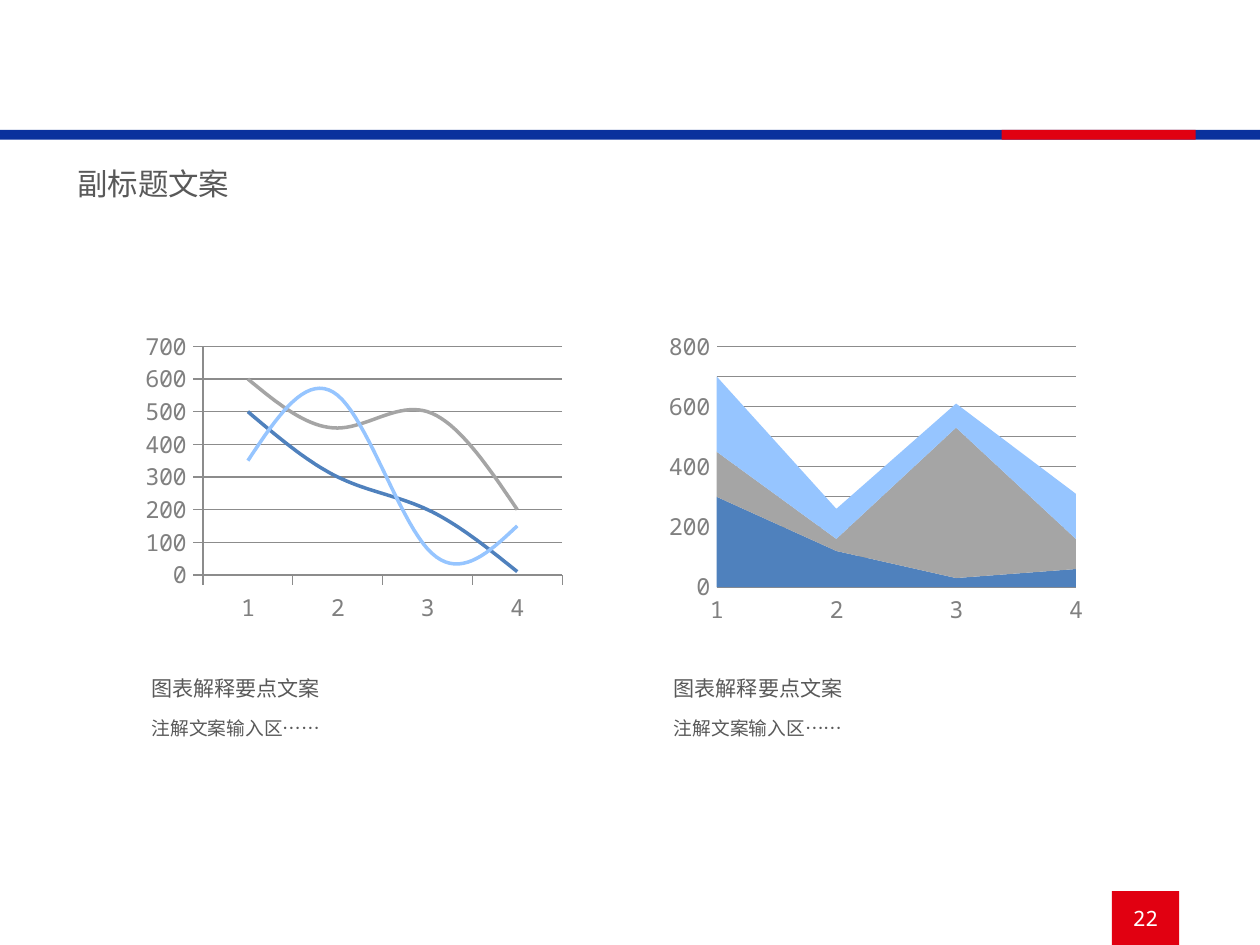
from pptx import Presentation
from pptx.chart.data import CategoryChartData
from pptx.dml.color import RGBColor
from pptx.enum.chart import XL_CHART_TYPE, XL_TICK_MARK
from pptx.enum.shapes import MSO_SHAPE
from pptx.enum.text import MSO_ANCHOR, PP_ALIGN
from pptx.oxml import parse_xml
from pptx.oxml.ns import nsdecls, qn
from pptx.util import Inches, Pt

WIDE, HIGH = Inches(7.48), Inches(5.61)
HAN, MONO = "Noto Sans CJK SC", "Noto Sans Mono"
INK, GREY, RULE, WHITE = "595959", "808080", "8C8C8C", "FFFFFF"
BLUE, RED = "0A319D", "E10011"
TONES = ["4F81BD", "A5A5A5", "96C5FF"]
COLS = [10.96, 52.41]
COL_W = 34.36


def color(code):
    return RGBColor.from_string(code)


def span(left, top, width, height):
    """Turn percent of the slide's size into lengths."""
    return (round(WIDE * left / 100), round(HIGH * top / 100),
            round(WIDE * width / 100), round(HIGH * height / 100))


def style(font, size, code, face):
    font.size, font.name = Pt(size), face
    font.color.rgb = color(code)


def add_run(para, text, size, code=INK, face=HAN):
    run = para.add_run()
    run.text = text
    style(run.font, size, code, face)
    run.font._element.find(qn("a:latin")).addnext(
        parse_xml(f'<a:ea {nsdecls("a")} typeface="{face}"/>'))


def set_frame(frame):
    frame.word_wrap = True
    frame.vertical_anchor = MSO_ANCHOR.TOP
    frame.margin_left = frame.margin_right = Inches(0.08)
    frame.margin_top = frame.margin_bottom = Inches(0.02)


def add_block(slide, code, *area):
    block = slide.shapes.add_shape(MSO_SHAPE.RECTANGLE, *span(*area))
    block.shadow.inherit = False
    block.fill.solid()
    block.fill.fore_color.rgb = color(code)
    block.line.fill.background()
    return block


def add_page(slide, number):
    frame = add_block(slide, RED, 88.24, 94.3, 5.35, 5.7).text_frame
    frame.margin_left = frame.margin_right = 0
    frame.margin_top = frame.margin_bottom = 0
    frame.vertical_anchor = MSO_ANCHOR.MIDDLE
    para = frame.paragraphs[0]
    para.alignment = PP_ALIGN.CENTER
    add_run(para, number, 9, WHITE, MONO)


def set_title(slide, text):
    title = slide.shapes.title
    title.left, title.top, title.width, title.height = span(
        5.08, 17.11, 21.12, 5.88)
    set_frame(title.text_frame)
    para = title.text_frame.paragraphs[0]
    para.alignment = PP_ALIGN.LEFT
    add_run(para, text, 13)


def add_note(slide, left, head, note):
    frame = slide.shapes.add_textbox(*span(left, 71.12, COL_W, 9.09)).text_frame
    set_frame(frame)
    add_run(frame.paragraphs[0], head, 9)
    para = frame.add_paragraph()
    para.space_before = Pt(7)
    add_run(para, note, 8)


def set_plot(chart, box):
    """Fix the inner plot area, given as shares of the chart."""
    area = chart._chartSpace.chart.plotArea
    for old in area.findall(qn("c:layout")):
        area.remove(old)
    sizes = "".join(f'<c:{key} val="{share}"/>' for key, share in zip("xywh", box))
    area.insert(0, parse_xml(
        f'<c:layout {nsdecls("c")}><c:manualLayout><c:layoutTarget val="inner"/>'
        f'<c:xMode val="edge"/><c:yMode val="edge"/>{sizes}'
        '</c:manualLayout></c:layout>'))


def set_cross(axis, mode):
    node = axis._element
    for old in node.findall(qn("c:crossBetween")):
        node.remove(old)
    node.find(qn("c:crosses")).addnext(
        parse_xml(f'<c:crossBetween {nsdecls("c")} val="{mode}"/>'))


def set_line(line, code, width):
    line.color.rgb = color(code)
    line.width = Pt(width)


def add_graph(slide, kind, left, rows, top, box, tick, cross):
    data = CategoryChartData()
    data.categories = ["1", "2", "3", "4"]
    for index, row in enumerate(rows, 1):
        data.add_series(f"Series {index}", row)
    area = span(left, 34.4, COL_W, 32.26)
    chart = slide.shapes.add_chart(kind, *area, data).chart
    chart.has_legend = chart.has_title = False
    style(chart.font, 10, INK, MONO)
    set_plot(chart, box)
    for axis in (chart.category_axis, chart.value_axis):
        axis.major_tick_mark = tick
        axis.minor_tick_mark = XL_TICK_MARK.NONE
        style(axis.tick_labels.font, 10, GREY, MONO)
        set_line(axis.format.line, RULE, 0.5)
    chart.category_axis.has_major_gridlines = False
    scale = chart.value_axis
    scale.minimum_scale, scale.maximum_scale = 0, top
    scale.major_unit = 100
    scale.has_major_gridlines = True
    set_line(scale.major_gridlines.format.line, RULE, 0.5)
    set_cross(scale, cross)
    return chart


def add_lines(slide, left):
    rows = [(500, 300, 200, 10), (600, 450, 500, 200), (350, 550, 80, 150)]
    chart = add_graph(slide, XL_CHART_TYPE.LINE, left, rows, 700,
                      (0.15, 0.07, 0.83, 0.75), XL_TICK_MARK.OUTSIDE, "between")
    for row, tone in zip(chart.plots[0].series, TONES):
        row.smooth = True
        set_line(row.format.line, tone, 1.5)


def add_areas(slide, left):
    rows = [(300, 120, 30, 60), (150, 40, 500, 100), (250, 100, 80, 150)]
    chart = add_graph(slide, XL_CHART_TYPE.AREA_STACKED, left, rows, 800,
                      (0.13, 0.07, 0.83, 0.79), XL_TICK_MARK.NONE, "midCat")
    chart.value_axis.format.line.fill.background()
    for row, tone in zip(chart.plots[0].series, TONES):
        row.format.fill.solid()
        row.format.fill.fore_color.rgb = color(tone)
        row.format.line.fill.background()


def main():
    deck = Presentation()
    deck.slide_width, deck.slide_height = WIDE, HIGH
    slide = deck.slides.add_slide(deck.slide_layouts[5])
    add_block(slide, BLUE, 0, 13.75, 100, 1.05)
    add_block(slide, RED, 79.5, 13.75, 15.4, 1.05)
    set_title(slide, "副标题文案")
    for left, add in zip(COLS, (add_lines, add_areas)):
        add(slide, left)
        add_note(slide, left, "图表解释要点文案", "注解文案输入区……")
    add_page(slide, "22")
    deck.save("out.pptx")


if __name__ == "__main__":
    main()
